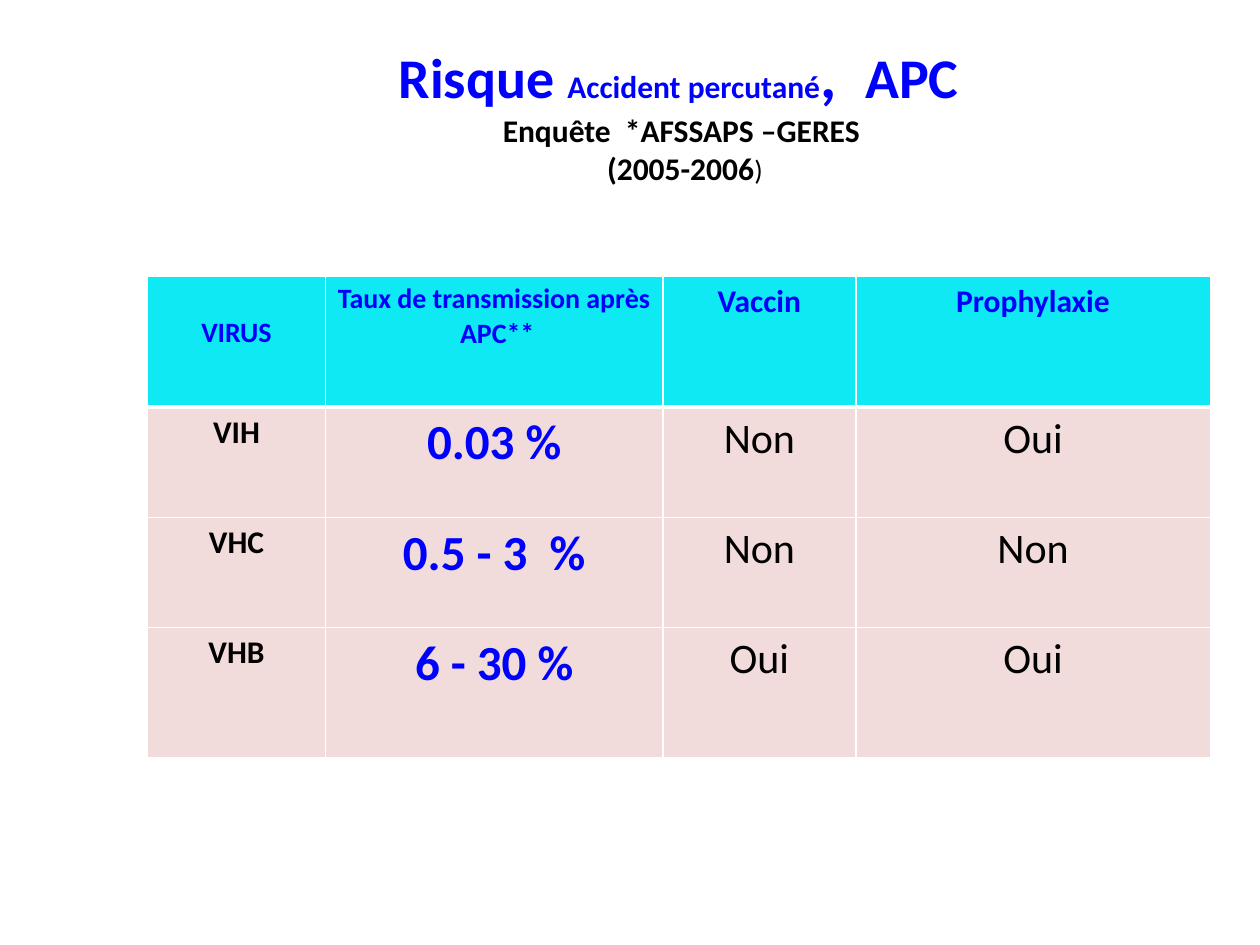
from lxml.etree import SubElement
from pptx import Presentation
from pptx.dml.color import RGBColor
from pptx.enum.text import MSO_AUTO_SIZE as AutoSize, PP_ALIGN as Align
from pptx.oxml.ns import qn
from pptx.util import Pt

BLUE = RGBColor(0x00, 0x00, 0xFF)
BLACK = RGBColor(0x00, 0x00, 0x00)
WHITE = RGBColor(0xFF, 0xFF, 0xFF)
CYAN = RGBColor(0x0E, 0xE9, 0xF4)
ROSE = RGBColor(0xF2, 0xDC, 0xDB)

TITLE_LINES = [
    [("Risque ", 32, BLUE, True), ("Accident percutané", 18, BLUE, True),
     (",  ", 36, BLUE, True), ("APC ", 32, BLUE, True)],
    [("Enquête  *AFSSAPS –GERES ", 18, BLACK, True)],
    [("(2005-2006", 18, BLACK, True), (")", 16, BLACK, False)],
]
HEADINGS = [("VIRUS", 16), ("Taux de transmission après  APC**", 16),
            ("Vaccin", 18), ("Prophylaxie", 18)]
VIRUSES = [
    ("VIH", "0.03 %", "Non", "Oui"),
    ("VHC", "0.5 - 3  %", "Non", "Non"),
    ("VHB", "6 - 30 %", "Oui", "Oui"),
]
COLUMN_STYLES = [(18, BLACK, True), (28, BLUE, True),
                 (24, BLACK, False), (24, BLACK, False)]
COLUMN_WIDTHS = [101.5, 193, 110.2, 202.6]
ROW_HEIGHTS = [74.9, 63.2, 62.8, 74.4]


def add_run(paragraph, text, size, color, bold):
    """Append one styled run to a centred paragraph."""
    paragraph.alignment = Align.CENTER
    run = paragraph.add_run()
    run.text = text
    run.font.name = "Calibri"
    run.font.size = Pt(size)
    run.font.color.rgb = color
    run.font.bold = bold


def set_borders(cell, widths):
    """Draw white cell borders, given a width for each side."""
    properties = cell._tc.get_or_add_tcPr()
    for position, (side, width) in enumerate(widths.items()):
        border = SubElement(properties, qn(f"a:ln{side}"), w=str(Pt(width)))
        fill = SubElement(border, qn("a:solidFill"))
        SubElement(fill, qn("a:srgbClr"), val=str(WHITE))
        properties.insert(position, border)


def fill_cell(cell, background, top, bottom, *run):
    """Colour, frame and label one table cell."""
    cell.fill.solid()
    cell.fill.fore_color.rgb = background
    set_borders(cell, {"L": 1, "R": 1, "T": top, "B": bottom})
    add_run(cell.text_frame.paragraphs[0], *run)


def add_title(slide):
    """Add the title and its survey lines."""
    title = slide.shapes.add_textbox(Pt(135.4), Pt(16.6), Pt(512), Pt(94.3))
    frame = title.text_frame
    frame.word_wrap = True
    frame.auto_size = AutoSize.SHAPE_TO_FIT_TEXT
    for index, line in enumerate(TITLE_LINES):
        paragraph = frame.add_paragraph() if index else frame.paragraphs[0]
        for run in line:
            add_run(paragraph, *run)


def add_risk_table(slide):
    """Add the table of transmission risk by virus."""
    table = slide.shapes.add_table(
        len(ROW_HEIGHTS), len(COLUMN_WIDTHS), Pt(84.4), Pt(157.6),
        Pt(sum(COLUMN_WIDTHS)), Pt(sum(ROW_HEIGHTS))).table
    for column, width in zip(table.columns, COLUMN_WIDTHS):
        column.width = Pt(width)
    for row, height in zip(table.rows, ROW_HEIGHTS):
        row.height = Pt(height)
    for column, (heading, size) in enumerate(HEADINGS):
        fill_cell(table.cell(0, column), CYAN, 1, 3, heading, size, BLUE, True)
    table.cell(0, 0).margin_top = Pt(23.1)
    for row, virus in enumerate(VIRUSES, start=1):
        top = 3 if row == 1 else 1
        for column, (text, style) in enumerate(zip(virus, COLUMN_STYLES)):
            fill_cell(table.cell(row, column), ROSE, top, 1, text, *style)


def main():
    """Build and save the slide."""
    deck = Presentation()
    deck.slide_width, deck.slide_height = Pt(720), Pt(540)
    slide = deck.slides.add_slide(deck.slide_layouts[6])
    add_risk_table(slide)
    add_title(slide)
    deck.save("out.pptx")


if __name__ == "__main__":
    main()
